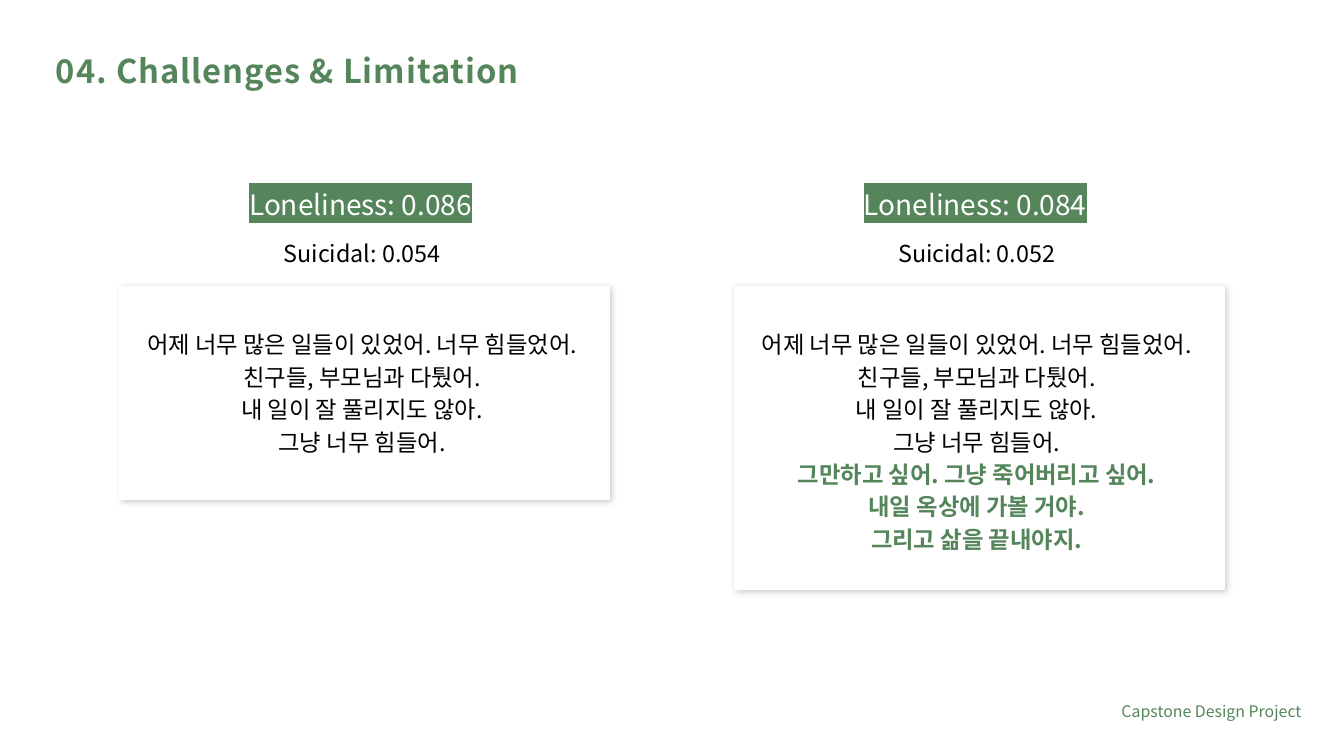
import pptx
import pptx.dml.color
import pptx.enum.shapes
import pptx.enum.text
import pptx.oxml
import pptx.oxml.ns
import pptx.util
from lxml import etree

Cm = pptx.util.Cm
Pt = pptx.util.Pt
ALIGN = pptx.enum.text.PP_ALIGN
FONT = "Noto Sans CJK KR"
COLORS = {"green": "55855B", "black": "000000", "white": "FFFFFF", "shadow": "808080"}
DIARY = [
    "어제 너무 많은 일들이 있었어. 너무 힘들었어.",
    "친구들, 부모님과 다퉜어.",
    "내 일이 잘 풀리지도 않아.",
    "그냥 너무 힘들어.",
]
WARNING_LINES = [
    "그만하고 싶어. 그냥 죽어버리고 싶어.",
    "내일 옥상에 가볼 거야.",
    "그리고 삶을 끝내야지.",
]


def rgb(name):
    """Return the named colour."""
    return pptx.dml.color.RGBColor.from_string(COLORS[name])


def clear_margins(frame):
    """Make a text frame wrap, without insets or resizing."""
    frame.word_wrap = True
    frame.auto_size = pptx.enum.text.MSO_AUTO_SIZE.NONE
    frame.margin_left = frame.margin_right = frame.margin_top = frame.margin_bottom = 0


def style(paragraph, size, color, align, spacing=1.0, bold=False):
    """Format a whole paragraph, East Asian text included."""
    paragraph.alignment = align
    paragraph.line_spacing = spacing
    font = paragraph.font
    font.size = Pt(size)
    font.bold = bold
    font.color.rgb = rgb(color)
    font.name = FONT
    defaults = paragraph._p.pPr.find(pptx.oxml.ns.qn("a:defRPr"))
    east_asian = etree.SubElement(defaults, pptx.oxml.ns.qn("a:ea"))
    east_asian.set("typeface", FONT)
    return defaults


def add_lines(slide, box, lines, size, align, spacing=1.0):
    """Place a text box of (text, colour, bold) lines and return its paragraphs."""
    frame = slide.shapes.add_textbox(*box).text_frame
    clear_margins(frame)
    frame.text = "\n".join(text for text, _, _ in lines)
    for paragraph, (_, color, bold) in zip(frame.paragraphs, lines):
        style(paragraph, size, color, align, spacing, bold)
    return frame.paragraphs


def highlight(run, color):
    """Put a marker colour behind a run."""
    run.font.color.rgb = rgb("white")
    marker = pptx.oxml.parse_xml(
        f'<a:highlight {pptx.oxml.ns.nsdecls("a")}><a:srgbClr val="{COLORS[color]}"/></a:highlight>'
    )
    run._r.rPr.find(pptx.oxml.ns.qn("a:solidFill")).addnext(marker)


def add_card(slide, left, top, width, height):
    """Draw a white card with a soft shadow."""
    card = slide.shapes.add_shape(
        pptx.enum.shapes.MSO_SHAPE.RECTANGLE, left, top, width, height
    )
    card.fill.solid()
    card.fill.fore_color.rgb = rgb("white")
    card.line.color.rgb = rgb("white")
    card.line.width = Pt(2)
    card.shadow.inherit = False
    effects = card._element.spPr.find(pptx.oxml.ns.qn("a:effectLst"))
    effects.append(pptx.oxml.parse_xml(
        f'<a:outerShdw {pptx.oxml.ns.nsdecls("a")} blurRad="{Pt(7)}" dist="{Pt(2)}" '
        f'dir="{45 * 60000}" algn="tl" rotWithShape="0"><a:srgbClr val="{COLORS["shadow"]}">'
        '<a:alpha val="40000"/></a:srgbClr></a:outerShdw>'
    ))


def add_title(slide, left, top, width, height):
    """Place and format the slide title."""
    title = slide.shapes.title
    title.left, title.top, title.width, title.height = left, top, width, height
    frame = title.text_frame
    clear_margins(frame)
    frame.vertical_anchor = pptx.enum.text.MSO_ANCHOR.MIDDLE
    frame.text = "04. Challenges & Limitation"
    style(frame.paragraphs[0], 35, "green", ALIGN.LEFT, bold=True).set("spc", "100")


def add_result(slide, left, top, width, card_height, loneliness, suicidal, lines):
    """Place two scores above the diary card they belong to."""
    score = add_lines(
        slide, (left + Cm(4.87), top, Cm(8.64), Cm(1.32)),
        [(f"Loneliness: {loneliness}", "white", False)], 30, ALIGN.LEFT, 1.16,
    )[0]
    highlight(score.runs[0], "green")
    add_lines(
        slide, (left, top + Cm(1.98), width - Cm(0.2), Cm(1.32)),
        [(f"Suicidal: {suicidal}", "black", False)], 25, ALIGN.CENTER, 1.16,
    )
    add_card(slide, left, top + Cm(3.96), width, card_height)
    add_lines(
        slide, (left, top + Cm(5.44), width - Cm(0.2), card_height - Cm(2.9)),
        lines, 25, ALIGN.CENTER, 1.16,
    )


def main():
    """Build and save the slide."""
    deck = pptx.Presentation()
    deck.slide_width, deck.slide_height = Cm(50.8), Cm(28.58)
    slide = deck.slides.add_slide(deck.slide_layouts[5])
    add_title(slide, Cm(2.11), Cm(1.83), Cm(41.7), Cm(1.7))
    diary = [(line, "black", False) for line in DIARY]
    warning = [(line, "green", True) for line in WARNING_LINES]
    results = [
        (Cm(4.55), Cm(8.03), "0.086", "0.054", diary),
        (Cm(27.78), Cm(11.43), "0.084", "0.052", diary + warning),
    ]
    for left, card_height, loneliness, suicidal, lines in results:
        add_result(slide, left, Cm(6.88), Cm(18.47), card_height, loneliness, suicidal, lines)
    add_lines(
        slide, (Cm(38.84), Cm(26.52), Cm(10.36), Cm(0.84)),
        [("Capstone Design Project", "green", False)], 17, ALIGN.RIGHT,
    )
    deck.save("out.pptx")


if __name__ == "__main__":
    main()
